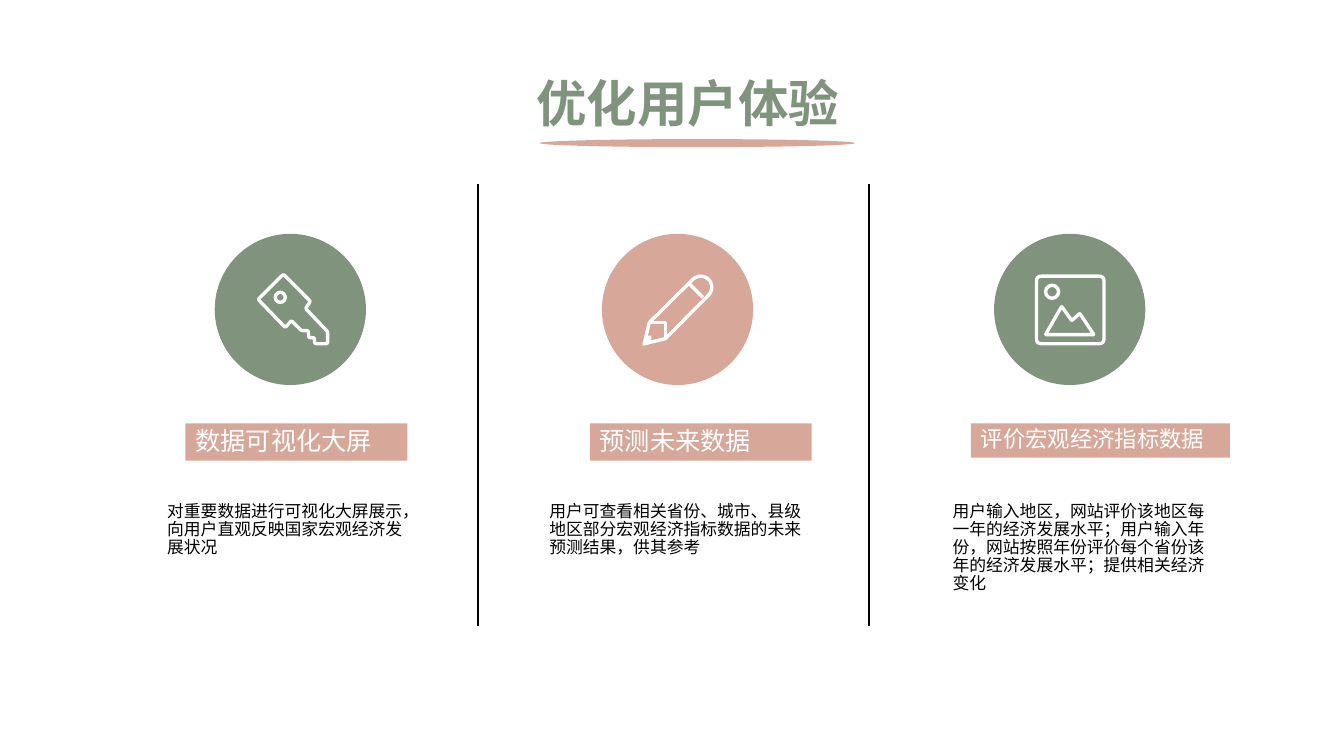
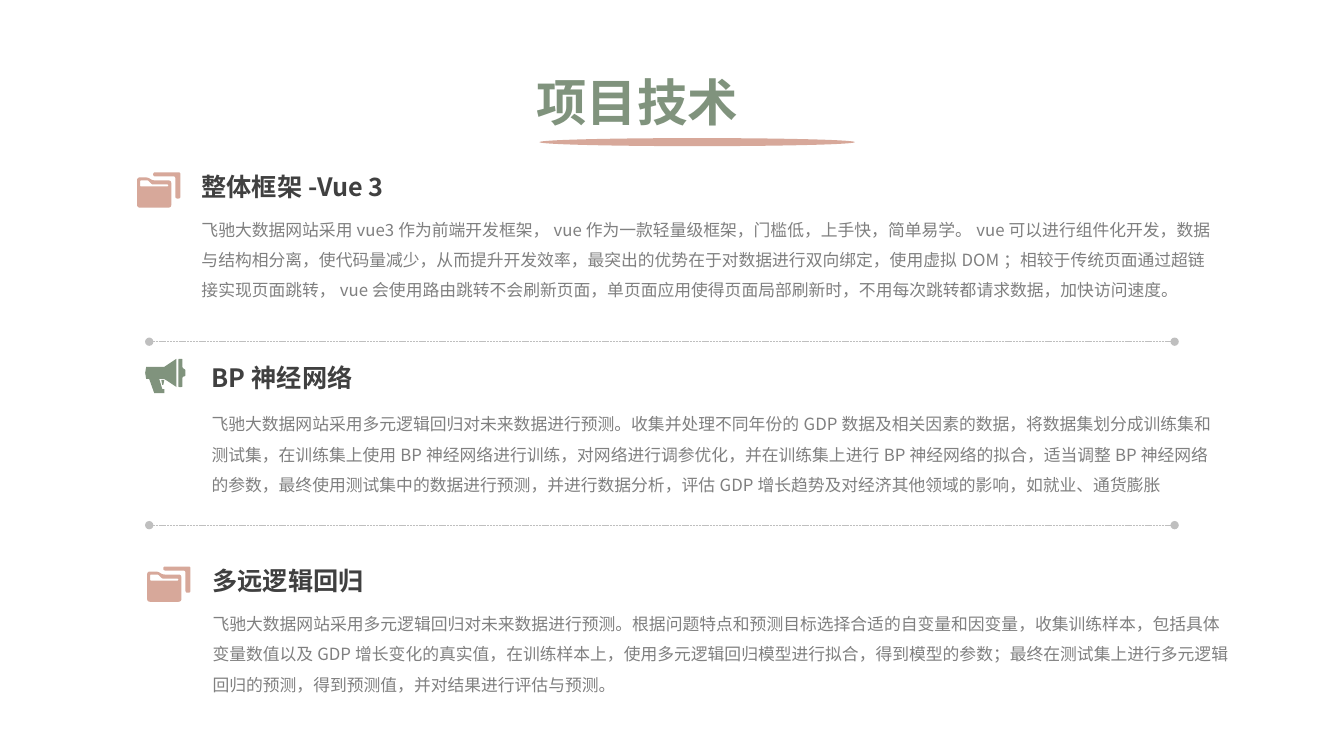
from math import cos, dist, radians, sin
from typing import NamedTuple

from lxml.etree import SubElement
from pptx import Presentation
from pptx.dml.color import RGBColor
from pptx.enum.dml import MSO_LINE
from pptx.enum.shapes import MSO_CONNECTOR, MSO_SHAPE
from pptx.enum.text import MSO_ANCHOR, MSO_AUTO_SIZE, PP_ALIGN
from pptx.oxml.ns import qn
from pptx.util import Emu, Pt

# Shared style: 100 px to the inch
SCALE = 9144
FONT = "Noto Sans CJK SC"
COLOURS = {
    "green": "80937D", "pink": "D7A89A", "white": "FFFFFF", "black": "000000",
    "heading": "404040", "body": "808080", "rule": "BFBFBF",
}
TITLE_LEFT, TITLE_WIDTH, TITLE_HEIGHT = 522, 339, 71
UNDERLINE_LEFT, UNDERLINE_WIDTH, UNDERLINE_HEIGHT = 535, 313, 8

# Column layout
CIRCLE_TOP, CIRCLE_SIZE = 232, 150
ICON_TOP, ICON_SIZE = 272, 70
LABEL_TOP, TEXT_TOP = 420, 494
DIVIDER_XS, DIVIDER_TOP, DIVIDER_BOTTOM = (474, 862), 183, 621

# Section layout
SEPARATOR_YS, SEPARATOR_LEFT, SEPARATOR_RIGHT = (339, 521), 148, 1165
HEADING_WIDTH, HEADING_HEIGHT, BODY_HEIGHT = 872, 40, 101


class Column(NamedTuple):
    centre: int
    tint: str
    icon: str
    label: str
    label_left: int
    label_width: int
    label_height: int
    label_size: int
    text: str
    text_left: int
    text_width: int
    text_height: int


class Section(NamedTuple):
    icon: str
    tint: str
    icon_corner: tuple
    left: int
    heading_top: int
    body_top: int
    body_width: int
    heading: str
    body: str


class Outline(NamedTuple):
    points: list
    radius: int = 0
    closed: bool = True


class LineIcon(NamedTuple):
    strokes: list
    rings: tuple = ()
    solids: tuple = ()


COLUMNS = [
    Column(288, "green", "key", "数据可视化大屏", 184, 220, 37, 18,
           "对重要数据进行可视化大屏展示，向用户直观反映国家宏观经济发展状况",
           156, 258, 62),
    Column(672, "pink", "pencil", "预测未来数据", 585, 220, 37, 18,
           "用户可查看相关省份、城市、县级地区部分宏观经济指标数据的未来预测结果，供其参考",
           535, 276, 62),
    Column(1061, "green", "picture", "评价宏观经济指标数据", 963, 257, 34, 16,
           "用户输入地区，网站评价该地区每一年的经济发展水平；用户输入年份，"
           "网站按照年份评价每个省份该年的经济发展水平；提供相关经济变化",
           935, 276, 110),
]

SECTIONS = [
    Section(
        "folder", "pink", (136, 171), 190, 165, 203, 1028, "整体框架-Vue 3",
        "飞驰大数据网站采用vue3作为前端开发框架，vue作为一款轻量级框架，门槛低，上手快，"
        "简单易学。vue可以进行组件化开发，数据与结构相分离，使代码量减少，从而提升开发效率，"
        "最突出的优势在于对数据进行双向绑定，使用虚拟DOM；相较于传统页面通过超链接实现页面跳转，"
        "vue会使用路由跳转不会刷新页面，单页面应用使得页面局部刷新时，不用每次跳转都请求数据，"
        "加快访问速度。"),
    Section(
        "megaphone", "green", (144, 356), 200, 355, 396, 1019, "BP神经网络",
        "飞驰大数据网站采用多元逻辑回归对未来数据进行预测。收集并处理不同年份的GDP数据及"
        "相关因素的数据，将数据集划分成训练集和测试集，在训练集上使用BP神经网络进行训练，"
        "对网络进行调参优化，并在训练集上进行BP神经网络的拟合，适当调整BP神经网络的参数，"
        "最终使用测试集中的数据进行预测，并进行数据分析，评估GDP增长趋势及对经济其他领域的影响，"
        "如就业、通货膨胀"),
    Section(
        "folder", "pink", (146, 562), 201, 556, 594, 1028, "多远逻辑回归",
        "飞驰大数据网站采用多元逻辑回归对未来数据进行预测。根据问题特点和预测目标选择合适的"
        "自变量和因变量，收集训练样本，包括具体变量数值以及GDP增长变化的真实值，在训练样本上，"
        "使用多元逻辑回归模型进行拟合，得到模型的参数；最终在测试集上进行多元逻辑回归的预测，"
        "得到预测值，并对结果进行评估与预测。"),
]


def arc(centre, radius, start, end, step=15):
    """Points along a circle, angles in degrees clockwise from the right."""
    x, y = centre
    return [(x + radius * cos(radians(angle)), y + radius * sin(radians(angle)))
            for angle in range(start, end + 1, step)]


# Icons, in px from their own top left corner
SOLID_ICONS = {
    "folder": [
        Outline([(0, 5), (11, 5), (15, 8), (34, 8), (34, 35), (0, 35)], 3),
        Outline([(3, 8), (11, 8), (15, 12), (31, 12), (31, 14), (3, 14)], 1),
        Outline([(16, 0), (43, 0), (43, 26), (38, 26), (38, 4), (16, 4)], 2),
    ],
    "megaphone": [
        Outline([(1, 8), (19, 8), (31, 0), (31, 28), (19, 20), (14, 20), (17, 30),
                 (19, 30), (19, 34), (9, 34), (4, 20), (1, 20), (0, 14)]),
        Outline([(33, 0), (37, 0), (37, 9), (40, 11), (40, 17), (37, 18),
                 (37, 28), (33, 28)], 1),
        Outline([(16, 21), (19, 21), (18, 26), (17, 26)]),
    ],
}
LINE_ICONS = {
    "key": LineIcon(
        strokes=[Outline([(50, 34), (72, 57), (72, 69), (59, 69), (59, 63), (53, 63),
                          (53, 56), (46, 56), (36, 46), (30, 53), (3, 25), (28, 0),
                          (55, 27)], 2)],
        rings=((20, 18, 10, 10),)),
    "pencil": LineIcon(
        strokes=[
            Outline([(2, 69), (7, 48), *arc((58, 13), 11, 225, 405), (23, 64)]),
            Outline([(46, 9), (60, 23)], closed=False),
            Outline([(7, 48), (23, 48), (23, 64)], closed=False),
        ],
        solids=(Outline([(0, 71), (5, 61), (9, 61), (9, 69)]),)),
    "picture": LineIcon(
        strokes=[
            Outline([(2, 2), (69, 2), (69, 69), (2, 69)], 5),
            Outline([(11, 60), (27, 32), (37, 46), (45, 39), (59, 60)], 1),
        ],
        rings=((11, 11, 13, 13),)),
}


# Helpers
def px(value):
    return Emu(round(value * SCALE))


def colour(name):
    return RGBColor.from_string(COLOURS[name])


def paint(shape, fill=None, line=None):
    shape.shadow.inherit = False
    if fill:
        shape.fill.solid()
        shape.fill.fore_color.rgb = colour(fill)
    else:
        shape.fill.background()
    if line:
        shape.line.color.rgb = colour(line)
        shape.line.width = Pt(2.4)
    else:
        shape.line.fill.background()


def write(shape, text, size, ink, bold=False, spacing=None,
          align=PP_ALIGN.LEFT, anchor=MSO_ANCHOR.TOP):
    frame = shape.text_frame
    frame.word_wrap = True
    frame.auto_size = MSO_AUTO_SIZE.NONE
    frame.vertical_anchor = anchor
    frame.text = text
    paragraph = frame.paragraphs[0]
    paragraph.alignment = align
    paragraph.line_spacing = spacing
    font = paragraph.font
    font.size, font.bold, font.name = Pt(size), bold, FONT
    font.color.rgb = colour(ink)
    properties = paragraph._p.pPr.find(qn("a:defRPr"))
    SubElement(properties, qn("a:ea")).set("typeface", FONT)


def add_text(slide, box, *content, **style):
    write(slide.shapes.add_textbox(*map(px, box)), *content, **style)


def add_preset(slide, kind, box, **look):
    shape = slide.shapes.add_shape(kind, *map(px, box))
    paint(shape, **look)
    return shape


def add_rule(slide, start, end, ink, width, dotted=False):
    rule = slide.shapes.add_connector(
        MSO_CONNECTOR.STRAIGHT, *map(px, (*start, *end)))
    rule.line.color.rgb = colour(ink)
    rule.line.width = Pt(width)
    properties = rule._element.spPr
    if dotted:
        rule.line.dash_style = MSO_LINE.SQUARE_DOT
        for tag in ("a:headEnd", "a:tailEnd"):
            SubElement(properties.find(qn("a:ln")), qn(tag)).set("type", "oval")
    SubElement(properties, qn("a:effectLst"))


def round_corners(points, radius):
    """Replace each corner of a closed outline by a quadratic curve."""
    if not radius:
        return points
    curve = []
    for index, corner in enumerate(points):
        ends = []
        for neighbour in (points[index - 1], points[(index + 1) % len(points)]):
            share = min(radius / dist(corner, neighbour), 0.5)
            ends.append([c + (n - c) * share for c, n in zip(corner, neighbour)])
        for t in (0, 0.25, 0.5, 0.75, 1):
            curve.append([(1 - t) ** 2 * a + 2 * t * (1 - t) * c + t ** 2 * b
                          for a, c, b in zip(ends[0], corner, ends[1])])
    return curve


def add_freeform(slide, corner, outlines, **look):
    """Draw all outlines as one shape; overlaps become holes."""
    left, top = corner
    builder = None
    for outline in outlines:
        start, *others = [(px(left + x), px(top + y)) for x, y
                          in round_corners(outline.points, outline.radius)]
        if builder is None:
            builder = slide.shapes.build_freeform(*start)
        else:
            builder.move_to(*start)
        builder.add_line_segments(others, close=outline.closed)
    paint(builder.convert_to_shape(), **look)


def add_line_icon(slide, icon, corner):
    left, top = corner
    for stroke in icon.strokes:
        add_freeform(slide, corner, [stroke], line="white")
    for x, y, width, height in icon.rings:
        add_preset(slide, MSO_SHAPE.OVAL, (left + x, top + y, width, height),
                   line="white")
    for solid in icon.solids:
        add_freeform(slide, corner, [solid], fill="white")


# Parts of the slides
def add_titled_slide(presentation, text, top):
    slide = presentation.slides.add_slide(presentation.slide_layouts[5])
    add_preset(slide, MSO_SHAPE.OVAL,
               (UNDERLINE_LEFT, top + TITLE_HEIGHT, UNDERLINE_WIDTH, UNDERLINE_HEIGHT),
               fill="pink")
    title = slide.shapes.title
    title.left, title.top = px(TITLE_LEFT), px(top)
    title.width, title.height = px(TITLE_WIDTH), px(TITLE_HEIGHT)
    write(title, text, 36, "green", bold=True, align=PP_ALIGN.JUSTIFY)
    return slide


def add_column(slide, column):
    add_preset(slide, MSO_SHAPE.OVAL,
               (column.centre - CIRCLE_SIZE / 2, CIRCLE_TOP, CIRCLE_SIZE, CIRCLE_SIZE),
               fill=column.tint)
    add_line_icon(slide, LINE_ICONS[column.icon],
                  (column.centre - ICON_SIZE / 2, ICON_TOP))
    label = add_preset(
        slide, MSO_SHAPE.RECTANGLE,
        (column.label_left, LABEL_TOP, column.label_width, column.label_height),
        fill="pink")
    write(label, column.label, column.label_size, "white", spacing=0.9,
          anchor=MSO_ANCHOR.MIDDLE)
    add_text(slide, (column.text_left, TEXT_TOP, column.text_width, column.text_height),
             column.text, 12, "black", spacing=0.9)


def add_section(slide, section):
    add_freeform(slide, section.icon_corner, SOLID_ICONS[section.icon],
                 fill=section.tint)
    add_text(slide, (section.left, section.heading_top, HEADING_WIDTH, HEADING_HEIGHT),
             section.heading, 18, "heading", bold=True)
    add_text(slide, (section.left, section.body_top, section.body_width, BODY_HEIGHT),
             section.body, 12, "body", spacing=1.5)


def main():
    presentation = Presentation()
    presentation.slide_width, presentation.slide_height = px(1333), px(750)

    # User experience: three columns
    slide = add_titled_slide(presentation, "优化用户体验", 67)
    for x in DIVIDER_XS:
        add_rule(slide, (x, DIVIDER_TOP), (x, DIVIDER_BOTTOM), "black", 1)
    for column in COLUMNS:
        add_column(slide, column)

    # Technology: three sections
    slide = add_titled_slide(presentation, "项目技术", 66)
    for y in SEPARATOR_YS:
        add_rule(slide, (SEPARATOR_LEFT, y), (SEPARATOR_RIGHT, y), "rule", 0.5,
                 dotted=True)
    for section in SECTIONS:
        add_section(slide, section)

    presentation.save("out.pptx")


if __name__ == "__main__":
    main()
